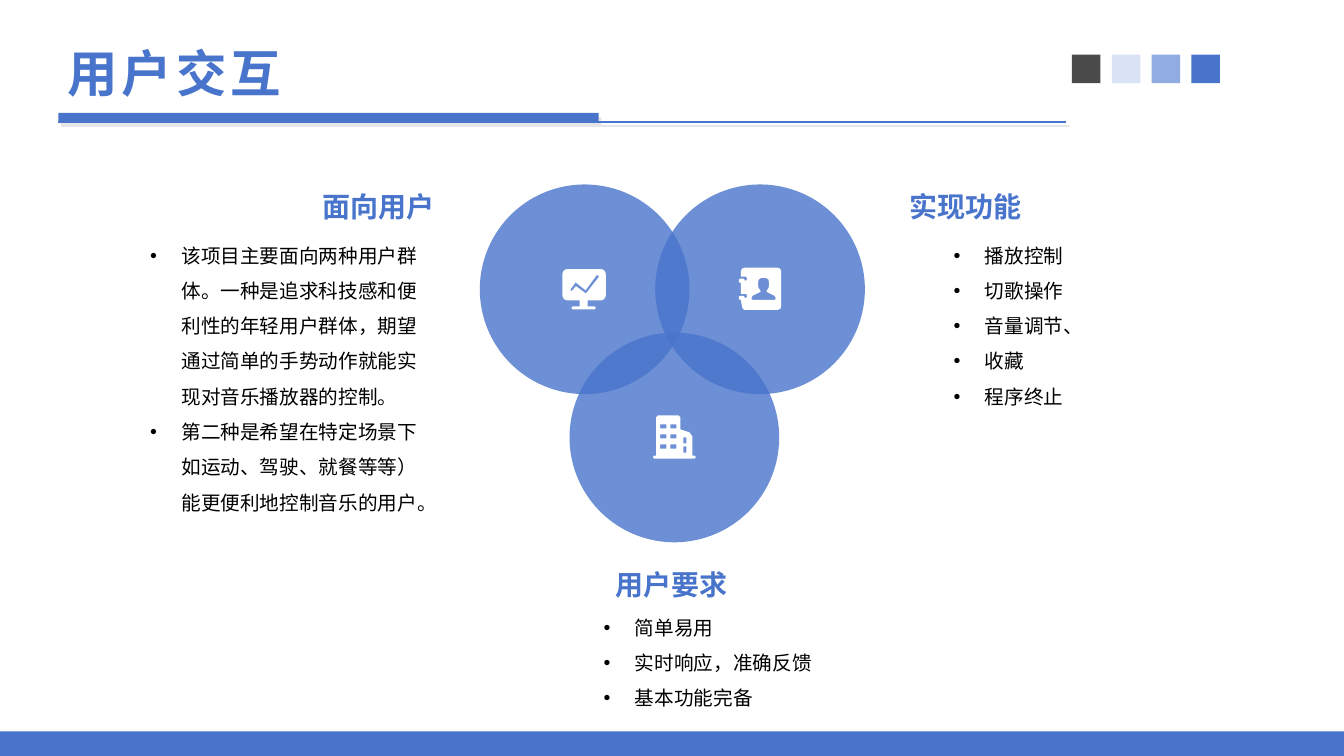
"""Builds the user interaction slide: three overlapping circles with lists around them."""
import math

from lxml import etree
from pptx import Presentation
from pptx import util as u
from pptx.dml.color import RGBColor
from pptx.enum import shapes, text
from pptx.oxml import ns

BLUE = RGBColor(0x48, 0x74, 0xCB)
MID_BLUE = RGBColor(0x91, 0xAC, 0xE0)
PALE_BLUE = RGBColor(0xDA, 0xE3, 0xF5)
GRAPHITE = RGBColor(0x4B, 0x4B, 0x4B)
BLACK = RGBColor(0, 0, 0)
WHITE = RGBColor(0xFF, 0xFF, 0xFF)
SHADOW = RGBColor(0xE7, 0xE6, 0xE6)
CJK = "Noto Sans CJK SC"
COLUMNS, ROWS = 160, 90
WIDTH, HEIGHT = u.Inches(13.333), u.Inches(7.5)
DETAIL = 10


def col(count):
    """Returns the length of a number of grid columns."""
    return round(WIDTH * count / COLUMNS)


def row(count):
    """Returns the length of a number of grid rows."""
    return round(HEIGHT * count / ROWS)


def area(left, top, width, height):
    """Turns a grid area into slide lengths."""
    return col(left), row(top), col(width), row(height)


def add_xml(parent, tag, **attributes):
    """Appends a drawing element and returns it."""
    return etree.SubElement(parent, ns.qn(tag), attributes)


def add_block(page, place, color, kind=shapes.MSO_SHAPE.RECTANGLE, opacity=None):
    """Adds a plain filled shape."""
    block = page.shapes.add_shape(kind, *area(*place))
    block.shadow.inherit = False
    block.fill.solid()
    block.fill.fore_color.rgb = color
    block.line.fill.background()
    if opacity:
        fill_color = block._element.spPr.find(ns.qn("a:solidFill"))[0]
        add_xml(fill_color, "a:alpha", val=str(opacity * 1000))
    return block


def add_shadow(shape):
    """Gives a shape a small offset shadow."""
    properties = shape._element.spPr
    effects = properties.find(ns.qn("a:effectLst"))
    if effects is None:
        effects = add_xml(properties, "a:effectLst")
    shade = add_xml(effects, "a:outerShdw", blurRad="0", dist=str(u.Pt(3.6)),
                    dir=str(56 * 60000), rotWithShape="0")
    add_xml(shade, "a:srgbClr", val=str(SHADOW))


def add_rule(page):
    """Adds the thick bar and thin line below the title."""
    add_shadow(add_block(page, (6.96, 13.44, 64.32, 0.96), BLUE))
    line = page.shapes.add_connector(shapes.MSO_CONNECTOR.STRAIGHT,
                                     col(6.96), row(14.52), col(126.96), row(14.52))
    line.line.color.rgb = BLUE
    line.line.width = u.Pt(1.5)
    add_shadow(line)


def style_span(span, size, color, font, bold):
    """Formats one run for Latin and Chinese text."""
    span.font.size = u.Pt(size)
    span.font.bold = bold
    span.font.color.rgb = color
    span.font.name = font
    add_xml(span.font._element, "a:ea", typeface=CJK)


def add_text(page, place, lines, size, color, font="Arial", bold=False,
             anchor=text.MSO_ANCHOR.TOP, align=text.PP_ALIGN.LEFT, margins=(0, 0), indent=None):
    """Adds a text box, with bullets when an indent is given."""
    box = page.shapes.add_textbox(*area(*place))
    frame = box.text_frame
    frame.word_wrap = True
    frame.vertical_anchor = anchor
    frame.margin_left = frame.margin_right = u.Inches(margins[0])
    frame.margin_top = frame.margin_bottom = u.Inches(margins[1])
    frame.text = "\n".join(lines)
    for para in frame.paragraphs:
        para.alignment = align
        if indent:
            para.line_spacing = 1.5
            properties = para._p.get_or_add_pPr()
            properties.set("marL", str(u.Inches(indent)))
            properties.set("indent", str(u.Inches(-0.31)))
            add_xml(properties, "a:buFont", typeface="Arial")
            add_xml(properties, "a:buChar", char="•")
        for span in para.runs:
            style_span(span, size, color, font, bold)
    return box


def add_heading(page, place, words, align, font=CJK):
    """Adds a bold blue heading."""
    add_text(page, place, [words], 20, BLUE, font, True, text.MSO_ANCHOR.BOTTOM, align)


def rounded(left, top, width, height, radius=0):
    """Lists the corner points of a rectangle with optional round corners."""
    right, bottom = left + width - radius, top + height - radius
    left, top = left + radius, top + radius
    corners = [(right, bottom), (left, bottom), (left, top), (right, top)]
    turns = range(0, 91, 15) if radius else [0]
    return [(x + radius * math.cos(math.radians(90 * i + turn)),
             y + radius * math.sin(math.radians(90 * i + turn)))
            for i, (x, y) in enumerate(corners) for turn in turns]


def add_icon(page, left, top, contours):
    """Adds a white icon whose inner contours are cut out; units are 1/100 inch."""
    scaled = [[(round(x * DETAIL), round(y * DETAIL)) for x, y in points] for points in contours]
    builder = page.shapes.build_freeform(*scaled[0][0], scale=u.Inches(1) / 100 / DETAIL)
    for i, points in enumerate(scaled):
        if i:
            builder.move_to(*points[0])
        builder.add_line_segments(points[1:], close=True)
    icon = builder.convert_to_shape(col(left), row(top))
    icon.shadow.inherit = False
    icon.fill.solid()
    icon.fill.fore_color.rgb = WHITE
    icon.line.fill.background()


def monitor():
    """Returns a screen with a chart line."""
    trend = [(36, 7), (35, 6), (34, 6), (23, 21), (13, 13), (12.5, 14), (8, 20),
             (8.5, 22), (10, 21), (13.5, 17), (23, 24), (23.5, 24), (36, 8)]
    return [rounded(0, 0, 43, 31, 5), rounded(17, 31, 8, 6), rounded(9, 37, 24, 3, 1.5), trend]


def address_book():
    """Returns a ring-bound book with a person."""
    notch = [(2, 9), (7, 9), (8, 10), (8, 12), (7, 13), (6, 13), (5, 11),
             (1, 11), (0, 12), (0, 14), (1, 15), (2, 15)]
    cover = [(2, 4), *notch, *[(x, y + 17) for x, y in notch], (3, 38), (4, 41), (6, 42),
             (38, 42), (41, 41), (42, 38), (42, 4), (41, 1), (38, 0), (6, 0), (3, 1)]
    half = [(3, 23), (3, 24), (7, 26), (11, 28), (12, 30), (12, 31), (11, 32)]
    head = [(5, 12), (5.5, 17), (5, 20)]
    side = [(0, 10), (3, 10.5), *head, *half]
    person = [(24.5 + x, y) for x, y in side] + [(24.5 - x, y) for x, y in reversed(side)]
    return [cover, person]


def building():
    """Returns an office building with windows."""
    walls = [(41, 40), (42, 41), (42, 42), (41, 43), (1, 43), (0, 42), (0, 41), (1, 40),
             (3, 40), (3, 2), (5, 0), (25, 0), (27, 2), (27, 14), (36, 17), (39, 21), (39, 40)]
    panes = [rounded(x, y, 6, 4) for x in (7, 17) for y in (9, 19, 29)]
    return [walls, *panes, *[rounded(30, y, 3, 6) for y in (22, 31)]]


def main():
    """Builds and saves the slide."""
    deck = Presentation()
    deck.slide_width, deck.slide_height = WIDTH, HEIGHT
    page = deck.slides.add_slide(deck.slide_layouts[6])

    for i, color in enumerate([GRAPHITE, PALE_BLUE, MID_BLUE, BLUE]):
        add_block(page, (127.62 + 4.74 * i, 6.5, 3.4, 3.4), color)
    add_block(page, (0, 87.06, 160, 2.94), BLUE)
    add_rule(page)
    title = add_text(page, (6.84, 3.24, 120.12, 10.8), ["用户交互"], 36, BLUE, CJK, True,
                     text.MSO_ANCHOR.MIDDLE, margins=(0.1, 0.05))
    title.text_frame.paragraphs[0].runs[0].font._element.set("spc", "300")

    for left, top in [(78, 21.96), (57.12, 21.96), (67.8, 39.6)]:
        add_block(page, (left, top, 24.96, 24.96), BLUE, shapes.MSO_SHAPE.OVAL, 80)
    add_icon(page, 66.96, 32.04, monitor())
    add_icon(page, 87.96, 31.86, address_book())
    add_icon(page, 77.76, 49.44, building())

    add_heading(page, (9.96, 21.6, 41.76, 4.92), "面向用户", text.PP_ALIGN.RIGHT)
    add_heading(page, (108.24, 21.6, 41.76, 4.92), "实现功能", text.PP_ALIGN.LEFT)
    add_heading(page, (34.2, 66.6, 91.56, 4.92), "用户要求", text.PP_ALIGN.CENTER, "Arial")
    add_text(page, (5.88, 27.6, 45.96, 23.16), [
        "该项目主要面向两种用户群体。一种是追求科技感和便利性的年轻用户群体，"
        "期望通过简单的手势动作就能实现对音乐播放器的控制。",
        "第二种是希望在特定场景下如运动、驾驶、就餐等等）能更便利地控制音乐的用户。",
    ], 14, BLACK, indent=1.31)
    add_text(page, (101.52, 27.6, 48.48, 23.16),
             ["播放控制", "切歌操作", "音量调节、", "收藏", "程序终止"], 14, BLACK, indent=1.31)
    add_text(page, (65.88, 71.88, 105.84, 10.2),
             ["简单易用", "实时响应，准确反馈", "基本功能完备"], 14, BLACK, indent=0.81)
    deck.save("out.pptx")


if __name__ == "__main__":
    main()
